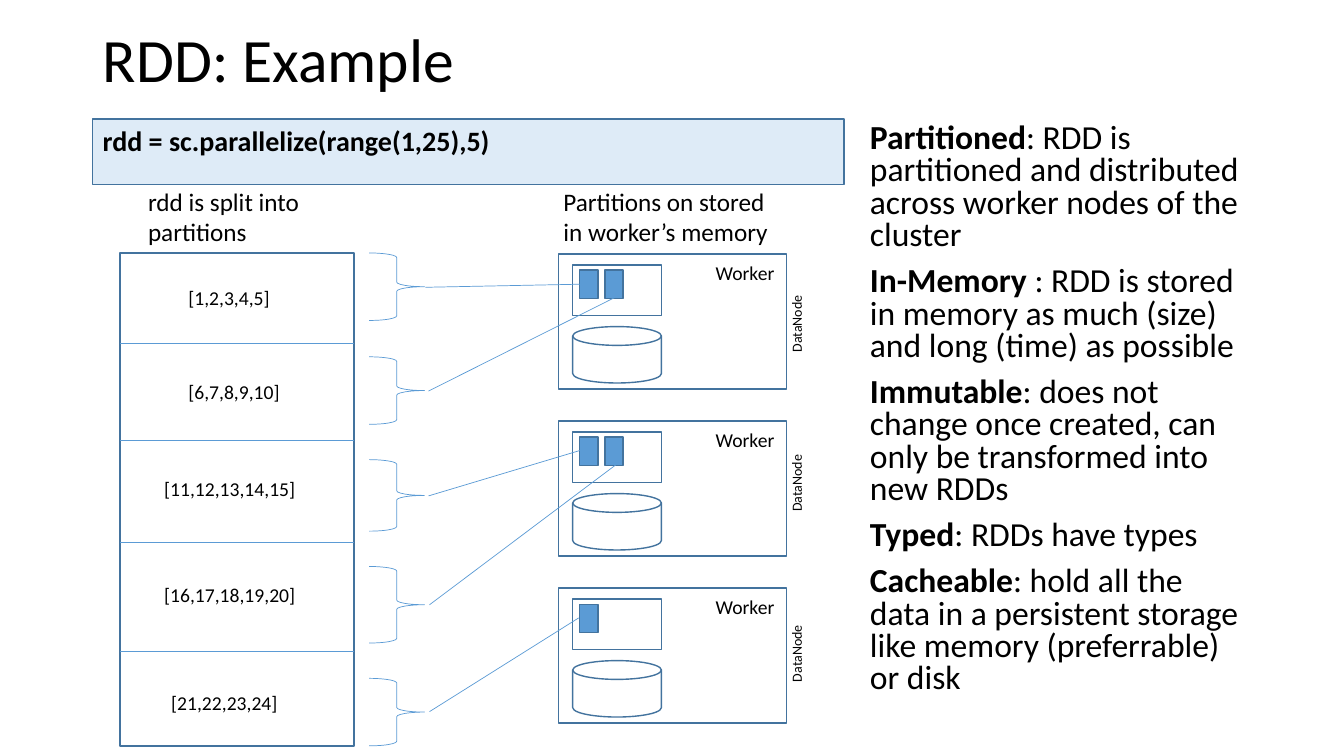
from dataclasses import dataclass
from lxml import etree
from pptx import Presentation
from pptx.dml.color import RGBColor
from pptx.enum import shapes, text
from pptx.oxml.ns import qn
from pptx.util import Inches, Pt


@dataclass(frozen=True)
class Theme:
    font: str = "Calibri"
    ink: RGBColor = RGBColor(0, 0, 0)
    paper: RGBColor = RGBColor(255, 255, 255)
    code: RGBColor = RGBColor(0xDE, 0xEB, 0xF7)
    accent: RGBColor = RGBColor(0x5B, 0x9B, 0xD5)
    edge: RGBColor = RGBColor(0x43, 0x73, 0x9E)
    title: int = 44
    body: int = 24
    command: int = 20
    caption: int = 18
    label: int = 14
    small: int = 10


T = Theme()
SHAPE = shapes.MSO_SHAPE
prs = Presentation()
prs.slide_width, prs.slide_height = Inches(13.33), Inches(7.5)
s = prs.slides.add_slide(prs.slide_layouts[5])


def write(sp, size, *paragraphs):
    tf = sp.text_frame
    tf.word_wrap = True
    for i, runs in enumerate(paragraphs):
        p = tf.add_paragraph() if i else tf.paragraphs[0]
        p.alignment = text.PP_ALIGN.LEFT
        p.font.name, p.font.size, p.font.color.rgb = T.font, Pt(size), T.ink
        for content, bold in runs:
            r = p.add_run()
            r.text = content
            if bold:
                r.font.bold = True
    return tf


def draw(kind, box, fill=None, line=T.edge, width=1):
    box = [Inches(v) for v in box]
    if kind == "line":
        sp = s.shapes.add_connector(shapes.MSO_CONNECTOR.STRAIGHT, *box)
        etree.SubElement(sp._element.spPr, qn("a:effectLst"))
    elif kind == "text":
        return s.shapes.add_textbox(*box)
    else:
        sp = s.shapes.add_shape(kind, *box)
        sp.shadow.inherit = False
        if fill is None:
            sp.fill.background()
        else:
            sp.fill.solid()
            sp.fill.fore_color.rgb = fill
    sp.line.color.rgb, sp.line.width = line, Pt(width)
    return sp


title = s.shapes.title
title.left, title.top, title.width, title.height = [Inches(v) for v in (0.92, 0.11, 11.5, 1.02)]
tf = write(title, T.title, [("RDD: Example", False)])
tf.vertical_anchor = text.MSO_ANCHOR.MIDDLE
tf.paragraphs[0].line_spacing = 0.9

properties = [
    ("Partitioned", ": RDD is partitioned and distributed across worker nodes of the cluster"),
    ("In-Memory", " : RDD is stored in memory as much (size) and long (time) as possible"),
    ("Immutable", ": does not change once created, can only be transformed into new RDDs"),
    ("Typed", ": RDDs have types"),
    ("Cacheable", ": hold all the data in a persistent storage like memory (preferrable) or disk"),
]
tf = write(draw("text", (8.48, 1.18, 3.93, 6.22)), T.body,
           *[[(name, True), (meaning, False)] for name, meaning in properties])
for p in tf.paragraphs:
    p.line_spacing, p.space_before = 0.8, Pt(10)
    p._p.get_or_add_pPr().set("marL", str(Inches(0.05)))

command = draw(SHAPE.RECTANGLE, (0.92, 1.18, 7.45, 0.65), T.code)
tf = write(command, T.command, [("rdd = sc.parallelize(range(1,25),5)", True)])
tf.vertical_anchor = text.MSO_ANCHOR.TOP

for caption, box in [
    ("rdd is split into partitions", (1.37, 1.8, 1.96, 0.71)),
    ("Partitions on stored in worker’s memory", (5.49, 1.8, 2.36, 0.71)),
]:
    write(draw("text", box), T.caption, [(caption, False)])

draw(SHAPE.RECTANGLE, (1.19, 2.51, 2.32, 4.89), T.paper)
for y in (3.41, 4.37, 5.38, 6.46):
    draw("line", (1.19, y, 3.51, y), line=T.accent, width=0.5)

for i, (blocks, name_y) in enumerate([(2, 3.04), (2, 4.62), (1, 6.31)]):
    y = 2.52 + 1.657 * i
    draw(SHAPE.RECTANGLE, (5.54, y, 2.26, 1.34), T.paper)
    draw(SHAPE.RECTANGLE, (5.68, y + 0.11, 0.88, 0.5), T.paper)
    draw(SHAPE.FLOWCHART_MAGNETIC_DISK, (5.68, y + 0.72, 0.88, 0.56), T.paper)
    write(draw("text", (7, y + 0.02, 0.9, 0.34)), T.label, [("Worker", False)])
    for block in range(blocks):
        draw(SHAPE.RECTANGLE, (5.75 + 0.25 * block, y + 0.16, 0.18, 0.28), T.accent)
    node = draw("text", (7.48, name_y, 0.84, 0.27))
    node.rotation = 270
    write(node, T.small, [("DataNode", False)])

partitions = [
    ("[1,2,3,4,5]", 1.77, 2.79, 2.51, 0.67, (4.22, 2.85, 5.75, 2.82)),
    ("[6,7,8,9,10]", 1.77, 3.72, 3.54, 0.67, (4.25, 3.88, 6.1, 2.95)),
    ("[11,12,13,14,15]", 1.53, 4.68, 4.56, 0.71, (4.25, 4.92, 5.75, 4.47)),
    ("[16,17,18,19,20]", 1.53, 5.73, 5.62, 0.76, (4.26, 6, 6.11, 4.61)),
    ("[21,22,23,24]", 1.6, 6.81, 6.73, 0.67, (4.26, 7.06, 5.74, 6.13)),
]
for values, x, y, brace_y, brace_h, link in partitions:
    write(draw("text", (x, y, 1.7, 0.34)), T.label, [(values, False)])
    draw(SHAPE.RIGHT_BRACE, (3.66, brace_y, 0.55, brace_h), line=T.accent, width=0.5)
    draw("line", link, line=T.accent, width=0.5)

prs.save("out.pptx")
